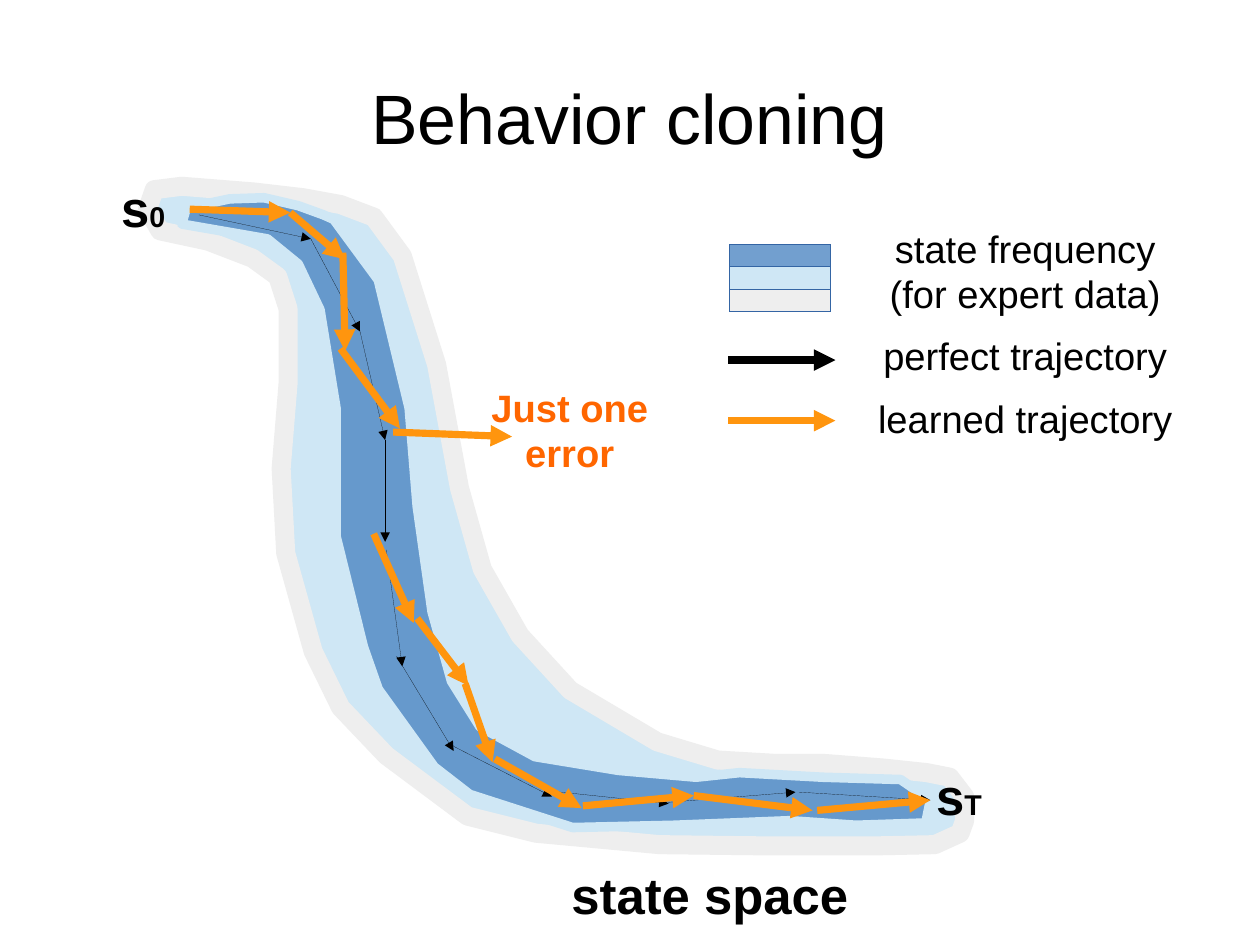
from typing import NamedTuple

from lxml import etree
from pptx import Presentation
from pptx.dml.color import RGBColor
from pptx.enum.shapes import MSO_CONNECTOR, MSO_SHAPE
from pptx.enum.text import MSO_ANCHOR, PP_ALIGN
from pptx.oxml.ns import qn
from pptx.util import Emu, Inches, Pt

STRAIGHT = MSO_CONNECTOR.STRAIGHT
RECTANGLE = MSO_SHAPE.RECTANGLE
MIDDLE = MSO_ANCHOR.MIDDLE
LEFT, CENTER = PP_ALIGN.LEFT, PP_ALIGN.CENTER

SLIDE_WIDTH, SLIDE_HEIGHT = Emu(10080625), Emu(7559675)
CELL = Inches(0.01)
FONT = "Arial"
BLACK, ORANGE, ERROR_ORANGE = "000000", "FF950E", "FF6600"
PALE_BLUE, GREY, SWATCH_LINE = "CFE7F5", "EEEEEE", "3465A4"

Point = tuple[int, int]


class Band(NamedTuple):
    fill: str
    line: str
    width: float
    outline: list[Point]


class Arrow(NamedTuple):
    start: Point
    end: Point


class Label(NamedTuple):
    column: int
    row: int
    width: int
    height: int
    text: str
    size: int
    align: PP_ALIGN = LEFT
    bold: bool = False
    color: str = BLACK
    index: str = ""


BANDS = [
    Band(PALE_BLUE, GREY, 12, [
        (159, 163), (222, 168), (265, 173), (298, 179), (327, 190), (352, 224),
        (382, 319), (402, 427), (422, 498), (455, 556), (499, 604), (575, 649),
        (628, 665), (680, 668), (722, 668), (773, 672), (811, 676), (831, 680),
        (844, 697), (844, 718), (840, 729), (818, 739), (769, 740), (665, 740),
        (577, 739), (469, 729), (409, 714), (338, 661), (298, 619), (274, 570),
        (250, 484), (246, 410), (252, 336), (252, 270), (243, 242), (221, 226),
        (182, 211), (140, 202), (129, 183), (135, 166),
    ]),
    Band("6699CC", PALE_BLUE, 6, [
        (163, 182), (201, 174), (231, 173), (261, 180), (283, 188), (292, 192),
        (331, 245), (358, 357), (365, 443), (378, 535), (395, 596), (420, 636),
        (468, 662), (541, 674), (609, 680), (647, 676), (720, 680), (788, 682),
        (814, 700), (810, 720), (749, 722), (691, 718), (590, 722), (501, 724),
        (411, 695), (380, 671), (331, 603), (318, 566), (294, 469), (294, 357),
        (280, 271), (261, 231), (234, 209), (159, 196),
    ]),
]

PERFECT_TRAJECTORY = [
    Arrow((174, 188), (272, 209)),
    Arrow((272, 209), (315, 290)),
    Arrow((315, 290), (337, 385)),
    Arrow((337, 385), (337, 474)),
    Arrow((338, 481), (352, 583)),
    Arrow((347, 574), (397, 657)),
    Arrow((397, 653), (483, 697)),
    Arrow((481, 692), (585, 703)),
    Arrow((584, 702), (696, 693)),
    Arrow((699, 693), (814, 700)),
]

LEARNED_TRAJECTORY = [
    Arrow((298, 305), (350, 375)),
    Arrow((300, 221), (302, 307)),
    Arrow((254, 186), (302, 227)),
    Arrow((166, 183), (254, 186)),
    Arrow((344, 378), (448, 382)),
    Arrow((327, 467), (362, 545)),
    Arrow((365, 541), (410, 600)),
    Arrow((407, 598), (431, 667)),
    Arrow((433, 664), (509, 707)),
    Arrow((510, 705), (607, 696)),
    Arrow((607, 696), (711, 709)),
    Arrow((715, 709), (814, 700)),
]

LEGEND_LEARNED = Arrow((637, 368), (731, 368))
LEGEND_PERFECT = Arrow((637, 315), (731, 315))
SWATCH_FILLS = ["729FCF", PALE_BLUE, GREY]
SWATCH_PITCH = 19.6

TITLE = Label(55, 33, 992, 138, "Behavior cloning", 44, CENTER)
STATE_LABELS = [
    Label(106, 131, 80, 100, "s", 32, bold=True, index="0"),
    Label(819, 646, 80, 100, "s", 32, bold=True, index="T"),
    Label(500, 683, 304, 199, "state space", 32, bold=True),
]
LEGEND_LABELS = [
    Label(745, 200, 304, 74, "state frequency\v(for expert data)", 24, CENTER),
    Label(745, 274, 304, 74, "perfect trajectory", 24, CENTER),
    Label(745, 329, 304, 74, "learned trajectory", 24, CENTER),
    Label(420, 339, 157, 74, "Just one\verror", 24, CENTER, True, ERROR_ORANGE),
]


def cells(count: float) -> int:
    return round(count * CELL)


def rgb(color: str) -> RGBColor:
    return RGBColor.from_string(color)


def style_line(shape, color: str, width: float) -> None:
    shape.line.color.rgb = rgb(color)
    shape.line._get_or_add_ln().set("w", str(int(Pt(width))))


def paint(shape, fill: str, line: str, width: float) -> None:
    shape.shadow.inherit = False
    shape.fill.solid()
    shape.fill.fore_color.rgb = rgb(fill)
    style_line(shape, line, width)


def draw_band(slide, band: Band) -> None:
    builder = slide.shapes.build_freeform(*band.outline[0], scale=CELL)
    builder.add_line_segments(band.outline[1:], close=True)
    paint(builder.convert_to_shape(), band.fill, band.line, band.width)


def draw_arrow(slide, arrow: Arrow, color: str, width: float) -> None:
    ends = [cells(value) for value in (*arrow.start, *arrow.end)]
    connector = slide.shapes.add_connector(STRAIGHT, *ends)
    style_line(connector, color, width)
    line = connector.line._get_or_add_ln()
    etree.SubElement(line, qn("a:tailEnd"), type="triangle")
    etree.SubElement(connector._element.spPr, qn("a:effectLst"))


def draw_swatch(slide, position: int, fill: str) -> None:
    shape = slide.shapes.add_shape(
        RECTANGLE, cells(638), cells(214 + position * SWATCH_PITCH),
        cells(89), cells(SWATCH_PITCH))
    paint(shape, fill, SWATCH_LINE, 0)


def draw_label(slide, label: Label) -> None:
    box = slide.shapes.add_textbox(*(cells(value) for value in label[:4]))
    frame = box.text_frame
    frame.word_wrap = True
    frame.vertical_anchor = MIDDLE
    frame.margin_left = frame.margin_right = 0
    frame.margin_top = frame.margin_bottom = 0
    paragraph = frame.paragraphs[0]
    paragraph.text = label.text
    paragraph.alignment = label.align
    paragraph.font.name = FONT
    paragraph.font.size = Pt(label.size)
    paragraph.font.bold = label.bold
    paragraph.font.color.rgb = rgb(label.color)
    if label.index:
        run = paragraph.add_run()
        run.text = label.index
        run.font.size = Pt(18)


def main() -> None:
    presentation = Presentation()
    presentation.slide_width = SLIDE_WIDTH
    presentation.slide_height = SLIDE_HEIGHT
    slide = presentation.slides.add_slide(presentation.slide_layouts[6])
    for band in BANDS:
        draw_band(slide, band)
    draw_label(slide, TITLE)
    for arrow in PERFECT_TRAJECTORY:
        draw_arrow(slide, arrow, BLACK, 0)
    for label in STATE_LABELS:
        draw_label(slide, label)
    for arrow in [*LEARNED_TRAJECTORY, LEGEND_LEARNED]:
        draw_arrow(slide, arrow, ORANGE, 4.5)
    draw_arrow(slide, LEGEND_PERFECT, BLACK, 4.5)
    for position, fill in enumerate(SWATCH_FILLS):
        draw_swatch(slide, position, fill)
    for label in LEGEND_LABELS:
        draw_label(slide, label)
    presentation.save("out.pptx")


if __name__ == "__main__":
    main()
